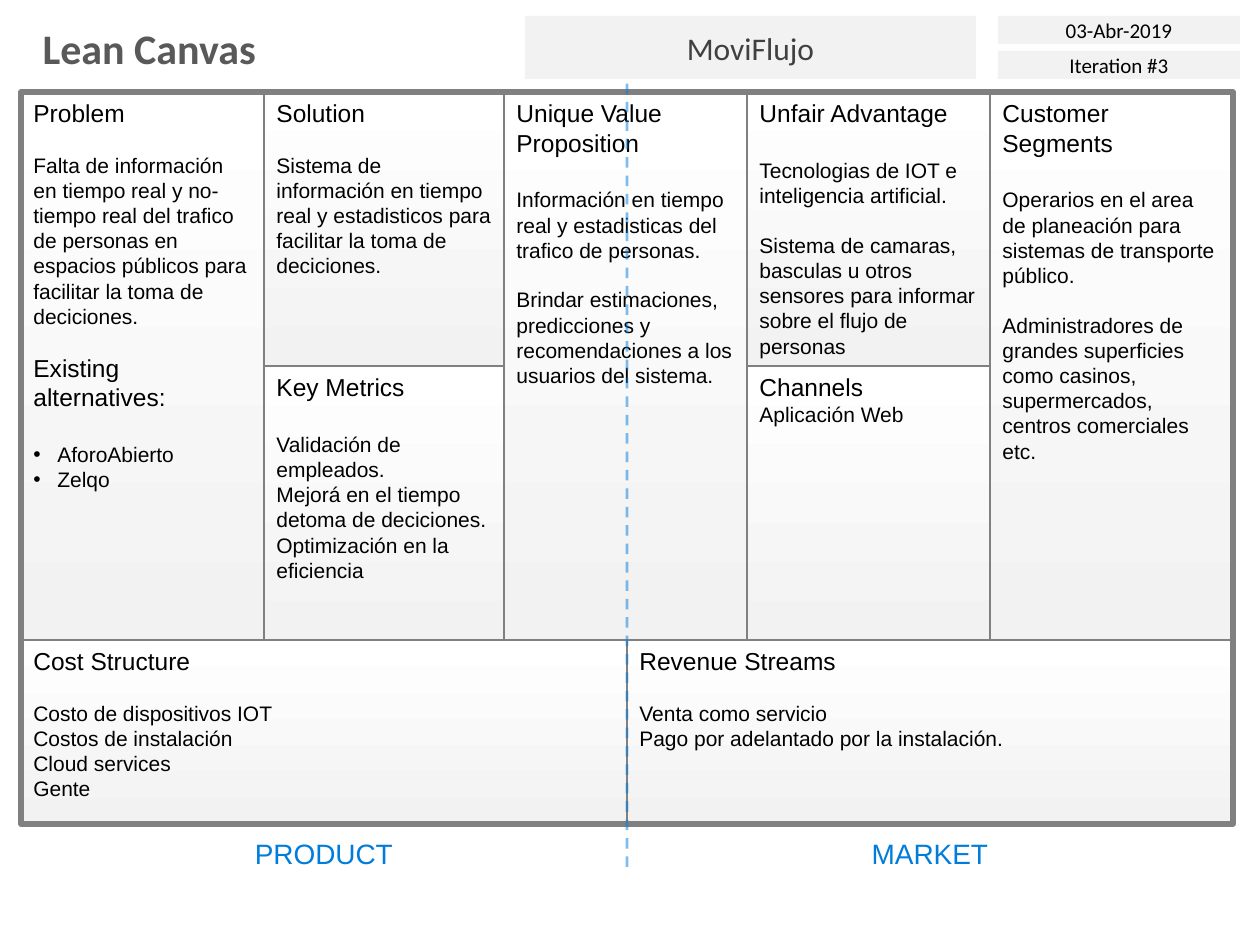
from lxml import etree
from pptx import Presentation
from pptx.dml.color import RGBColor
from pptx.enum.dml import MSO_LINE
from pptx.enum.shapes import MSO_CONNECTOR, MSO_SHAPE
from pptx.enum.text import MSO_ANCHOR, PP_ALIGN
from pptx.oxml.ns import qn
from pptx.util import Pt

LEFT, CENTER = PP_ALIGN.LEFT, PP_ALIGN.CENTER
TOP, MIDDLE = MSO_ANCHOR.TOP, MSO_ANCHOR.MIDDLE
RECT, ROUNDED = MSO_SHAPE.RECTANGLE, MSO_SHAPE.ROUNDED_RECTANGLE
STRAIGHT, DASH = MSO_CONNECTOR.STRAIGHT, MSO_LINE.DASH

PX_PER_INCH = 126
SCALE = 914400 / PX_PER_INCH
COLORS = {
    "title": "595959", "name": "404040", "text": "000000",
    "panel": "F2F2F2", "white": "FFFFFF", "border": "808080", "accent": "007DDA",
}
SMALL_GAP, LARGE_GAP = 14, 17
COLUMN, HALF, FOOT = 243, 274, 184
COLUMN_LEFTS = (0, 243, 483, 726, 969)
CANVAS = (21, 92, 1212, 732)
AXIS = CANVAS[0] + CANVAS[2] // 2

GAP = {"gap": SMALL_GAP}
WIDE_GAP = {"gap": LARGE_GAP}
BLOCKS = [
    ((0, 2 * HALF, CANVAS[2] // 2, FOOT), "Cost Structure", [
        ("Costo de dispositivos IOT", GAP),
        ("Costos de instalación", {}),
        ("Cloud services", {}),
        ("Gente", {}),
    ]),
    ((CANVAS[2] // 2, 2 * HALF, CANVAS[2] // 2, FOOT), "Revenue Streams", [
        ("Venta como servicio", GAP),
        ("Pago por adelantado por la instalación.", {}),
    ]),
    ((COLUMN_LEFTS[0], 0, COLUMN, 2 * HALF), "Problem", [
        ("Falta de información en tiempo real y no-tiempo real del trafico de personas "
         "en espacios públicos para facilitar la toma de deciciones.", GAP),
        ("Existing alternatives:", {"size": 14, "gap": SMALL_GAP}),
        ("AforoAbierto", {"gap": LARGE_GAP, "bullet": True}),
        ("Zelqo", {"bullet": True}),
    ]),
    ((COLUMN_LEFTS[1], 0, COLUMN, HALF), "Solution", [
        ("Sistema de información en tiempo real y estadisticos para facilitar "
         "la toma de deciciones.", GAP),
    ]),
    ((COLUMN_LEFTS[1], HALF, COLUMN, HALF), "Key Metrics", [
        ("Validación de empleados.", WIDE_GAP),
        ("Mejorá en el tiempo detoma de deciciones.", {}),
        ("Optimización en la eficiencia", {}),
    ]),
    ((COLUMN_LEFTS[2], 0, COLUMN, 2 * HALF), "Unique Value Proposition", [
        ("Información en tiempo real y estadisticas del trafico de personas.", WIDE_GAP),
        ("Brindar estimaciones, predicciones y recomendaciones a los usuarios "
         "del sistema.", GAP),
    ]),
    ((COLUMN_LEFTS[3], 0, COLUMN, HALF), "Unfair Advantage", [
        ("Tecnologias de IOT e inteligencia artificial.", WIDE_GAP),
        ("Sistema de camaras, basculas u otros sensores para informar "
         "sobre el flujo de personas", GAP),
    ]),
    ((COLUMN_LEFTS[3], HALF, COLUMN, HALF), "Channels", [("Aplicación Web", {})]),
    ((COLUMN_LEFTS[4], 0, COLUMN, 2 * HALF), "Customer Segments", [
        ("Operarios en el area de planeación para sistemas de transporte público.", WIDE_GAP),
        ("Administradores de grandes superficies como casinos, supermercados, "
         "centros comerciales etc.", GAP),
    ]),
]


def px(length):
    return round(length * SCALE)


def color(name):
    return RGBColor.from_string(COLORS[name])


def write(para, text, *, size=12, font="Arial", ink="text", bold=False,
          align=LEFT, gap=0, bullet=False):
    para.alignment = align
    para.space_before = Pt(gap)
    span = para.add_run()
    span.text = text
    span.font.size = Pt(size)
    span.font.name = font
    span.font.bold = bold
    span.font.color.rgb = color(ink)
    if bullet:
        properties = para._p.get_or_add_pPr()
        properties.set("marL", str(px(24)))
        properties.set("indent", str(px(-24)))
        etree.SubElement(properties, qn("a:buFont")).set("typeface", "Arial")
        etree.SubElement(properties, qn("a:buChar")).set("char", "•")


def add_box(page, box, kind, anchor=TOP):
    shape = page.shapes.add_shape(kind, *map(px, box))
    shape.shadow.inherit = False
    shape.text_frame.word_wrap = True
    shape.text_frame.vertical_anchor = anchor
    if kind == ROUNDED:
        shape.adjustments[0] = 0
    return shape


def set_border(shape, width):
    shape.line.color.rgb = color("border")
    shape.line.width = Pt(width)


def add_header(page, box):
    left, top, width, height = box
    title = page.shapes.title
    title.left, title.top, title.width, title.height = map(px, (left, top, 242, height))
    title.text_frame.word_wrap = False
    title.text_frame.vertical_anchor = MIDDLE
    write(title.text_frame.paragraphs[0], "Lean Canvas",
          size=24, font="Calibri", ink="title", bold=True)
    side = left + width - 242
    labels = [
        ("MoviFlujo", (left + 495, top, 451, height), 18, "name"),
        ("03-Abr-2019", (side, top, 242, 28), 12, "text"),
        ("Iteration #3", (side, top + height - 28, 242, 28), 12, "text"),
    ]
    for text, place, size, ink in labels:
        panel = add_box(page, place, RECT, MIDDLE)
        panel.fill.solid()
        panel.fill.fore_color.rgb = color("panel")
        panel.line.fill.background()
        write(panel.text_frame.paragraphs[0], text,
              size=size, font="Calibri", ink=ink, align=CENTER)


def add_block(page, box, heading, lines):
    block = add_box(page, box, ROUNDED)
    block.fill.gradient()
    block.fill.gradient_angle = 90
    for stop, name in zip(block.fill.gradient_stops, ("panel", "white")):
        stop.color.rgb = color(name)
    set_border(block, 1.5)
    frame = block.text_frame
    write(frame.paragraphs[0], heading, size=14)
    for text, style in lines:
        write(frame.add_paragraph(), text, **style)


def add_canvas(page, box):
    left, top, _, _ = box
    for (x, y, width, height), heading, lines in BLOCKS:
        add_block(page, (left + x, top + y, width, height), heading, lines)
    border = add_box(page, box, ROUNDED)
    border.fill.background()
    set_border(border, 3)


def add_sides(page, box):
    left, top, width, height = box
    for text, center in (("PRODUCT", 303), ("MARKET", 909)):
        label = page.shapes.add_textbox(
            *map(px, (left + center - 83, top, 166, height)))
        label.text_frame.word_wrap = False
        write(label.text_frame.paragraphs[0], text, size=16, ink="accent", align=CENTER)


def add_axis(page, x, start, end):
    axis = page.shapes.add_connector(STRAIGHT, *map(px, (x, start, x, end)))
    axis.line.color.rgb = color("accent")
    axis.line.width = Pt(1.5)
    axis.line.dash_style = DASH
    properties = axis._element.spPr
    tint = properties.find(".//" + qn("a:srgbClr"))
    etree.SubElement(tint, qn("a:alpha")).set("val", "50000")
    etree.SubElement(properties, qn("a:effectLst"))


def main():
    deck = Presentation()
    deck.slide_width, deck.slide_height = px(1260), px(945)
    page = deck.slides.add_slide(deck.slide_layouts[5])
    add_header(page, (30, 16, 1210, 63))
    add_canvas(page, CANVAS)
    add_sides(page, (CANVAS[0], 830, CANVAS[2], 47))
    add_axis(page, AXIS, 867, 77)
    deck.save("out.pptx")


if __name__ == "__main__":
    main()
